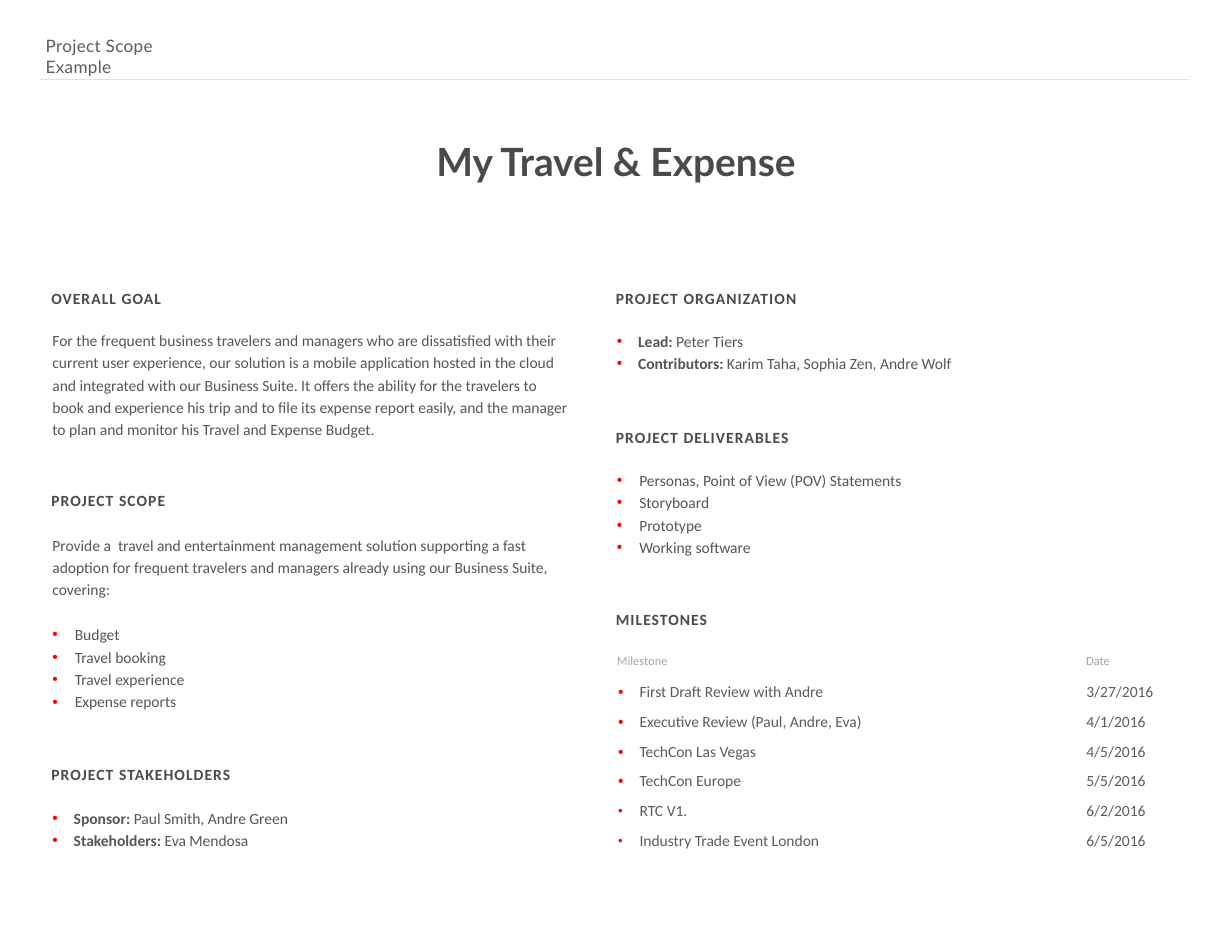
"""Build a one-page project scope slide."""
from lxml.etree import SubElement
from pptx import Presentation
from pptx.dml.color import RGBColor
from pptx.enum.text import MSO_ANCHOR, MSO_AUTO_SIZE, PP_ALIGN
from pptx.oxml.ns import qn
from pptx.util import Inches, Pt

DARK = RGBColor(0x4A, 0x4A, 0x4A)
BODY = RGBColor(0x56, 0x56, 0x56)
GREY = RGBColor(0x5C, 0x5C, 0x5C)
LIGHT = RGBColor(0xA6, 0xA6, 0xA6)
RULE = RGBColor(0xE0, 0xE0, 0xE0)
WHITE = RGBColor(0xFF, 0xFF, 0xFF)
RED = RGBColor(0xFF, 0, 0)
TABLE_RED = RGBColor(0xFB, 0, 0)

LEFT, RIGHT = 0.36, 5.4

HEADINGS = [
    ("OVERALL GOAL", LEFT, 2.5),
    ("PROJECT SCOPE", LEFT, 4.3),
    ("PROJECT STAKEHOLDERS", LEFT, 6.75),
    ("PROJECT ORGANIZATION", RIGHT, 2.5),
    ("PROJECT DELIVERABLES", RIGHT, 3.74),
    ("MILESTONES", RIGHT, 5.36),
]
GOAL = (
    "For the frequent business travelers and managers who are dissatisfied with their "
    "current user experience, our solution is a mobile application hosted in the cloud "
    "and integrated with our Business Suite. It offers the ability for the travelers to "
    "book and experience his trip and to file its expense report easily, and the manager "
    "to plan and monitor his Travel and Expense Budget."
)
SCOPE = (
    "Provide a  travel and entertainment management solution supporting a fast adoption "
    "for frequent travelers and managers already using our Business Suite, covering:"
)
SCOPE_ITEMS = ["Budget", "Travel booking", "Travel experience", "Expense reports"]
STAKEHOLDERS = [("Sponsor:", " Paul Smith, Andre Green"), ("Stakeholders:", " Eva Mendosa")]
ORGANIZATION = [
    ("Lead:", " Peter Tiers"),
    ("Contributors:", " Karim Taha, Sophia Zen, Andre Wolf"),
]
DELIVERABLES = [
    "Personas, Point of View (POV) Statements", "Storyboard", "Prototype", "Working software",
]
MILESTONES = [
    ("First Draft Review with Andre", "3/27/2016", 100),
    ("Executive Review (Paul, Andre, Eva)", "4/1/2016", 100),
    ("TechCon Las Vegas", "4/5/2016", 100),
    ("TechCon Europe", "5/5/2016", 100),
    ("RTC V1.", "6/2/2016", 85),
    ("Industry Trade Event London", "6/5/2016", 85),
]


def style_run(r, color, size=10, font="Calibri", bold=False, spacing=0):
    """Format a run; spacing is in points."""
    r.font.name, r.font.size, r.font.bold = font, Pt(size), bold
    r.font.color.rgb = color
    if spacing:
        r.font._element.set("spc", str(round(spacing * 100)))


def add_bullet(p, color, indent, size=100):
    """Give a paragraph a coloured round bullet and a hanging indent."""
    pPr = p._p.get_or_add_pPr()
    pPr.set("marL", str(Inches(indent)))
    pPr.set("indent", str(-Inches(indent)))
    SubElement(SubElement(pPr, qn("a:buClr")), qn("a:srgbClr")).set("val", str(color))
    SubElement(pPr, qn("a:buSzPct")).set("val", str(size * 1000))
    SubElement(pPr, qn("a:buFont")).set("typeface", "Arial")
    SubElement(pPr, qn("a:buChar")).set("char", "•")


def add_box(s, left, top, width, height):
    """Add an empty wrapping text box and return its text frame."""
    tf = s.shapes.add_textbox(Inches(left), Inches(top), Inches(width), Inches(height)).text_frame
    tf.word_wrap = True
    return tf


def add_text(s, text, at, color, line_spacing=1.2, **style):
    """Add a text box with one styled paragraph and return its text frame."""
    tf = add_box(s, *at)
    tf.text = text
    p = tf.paragraphs[0]
    p.line_spacing = line_spacing
    style_run(p.runs[0], color, **style)
    return tf


def add_items(tf, items, indent, gap=0):
    """Append bulleted items; a (label, rest) pair gets a bold label."""
    for i, item in enumerate(items):
        p = tf.add_paragraph() if tf.text else tf.paragraphs[0]
        p.line_spacing = 1.2
        if gap and i == 0:
            p.space_before = Pt(gap)
        add_bullet(p, RED, indent)
        label, rest = item if isinstance(item, tuple) else ("", item)
        for text, bold in ((label, True), (rest, False)):
            if text:
                r = p.add_run()
                r.text = text
                style_run(r, BODY, bold=bold)


def add_title(s, text):
    """Place and format the slide title."""
    title = s.shapes.title
    title.left, title.top, title.width, title.height = map(Inches, (0.55, 0.9, 9.9, 1.07))
    tf = title.text_frame
    tf.text = text
    tf.auto_size = MSO_AUTO_SIZE.NONE
    tf.vertical_anchor = MSO_ANCHOR.MIDDLE
    tf.paragraphs[0].alignment = PP_ALIGN.CENTER
    style_run(tf.paragraphs[0].runs[0], DARK, 25, "Lato", True)


def add_rule(s):
    """Draw the thin line below the page header."""
    y = Inches(0.71)
    line = s.shapes.add_connector(1, Inches(0.36), y, Inches(10.62), y)
    line.line.color.rgb, line.line.width = RULE, Pt(0.75)
    SubElement(line._element.spPr, qn("a:effectLst"))


def add_milestones(s):
    """Add the table of milestones and dates."""
    frame = s.shapes.add_table(
        len(MILESTONES), 2, Inches(5.48), Inches(6.06), Inches(5.16), Inches(1.68))
    table = frame.table
    table.first_row = table.horz_banding = False
    for column, width in zip(table.columns, (4.18, 0.98)):
        column.width = Inches(width)
    for i, (name, date, bullet_size) in enumerate(MILESTONES):
        table.rows[i].height = Inches(0.36 if i == len(MILESTONES) - 1 else 0.265)
        for cell, text in zip(table.rows[i].cells, (name, date)):
            cell.fill.solid()
            cell.fill.fore_color.rgb = WHITE
            cell.margin_left = cell.margin_right = Inches(0.04)
            cell.margin_top = cell.margin_bottom = Inches(0.04)
            cell.text_frame.text = text
            style_run(cell.text_frame.paragraphs[0].runs[0], GREY)
        add_bullet(table.cell(i, 0).text_frame.paragraphs[0], TABLE_RED, 0.19, bullet_size)


def main():
    """Build and save the slide."""
    prs = Presentation()
    prs.slide_width, prs.slide_height = Inches(11), Inches(8.5)
    s = prs.slides.add_slide(prs.slide_layouts[5])
    add_text(s, "Project Scope Example", (0.31, 0.27, 1.5, 0.44), GREY,
             line_spacing=1, size=11, font="Lato", spacing=0.2)
    add_rule(s)
    add_title(s, "My Travel & Expense")
    for text, left, top in HEADINGS:
        add_text(s, text, (left, top, 2.04, 0.3), DARK, bold=True, spacing=0.7)
    add_text(s, GOAL, (0.37, 2.87, 4.8, 1.11), BODY)
    scope = add_text(s, SCOPE, (0.37, 4.7, 4.8, 1.72), BODY)
    add_items(scope, SCOPE_ITEMS, 0.2, gap=14.4)
    add_items(add_box(s, 0.37, 7.14, 4.8, 0.71), STAKEHOLDERS, 0.19)
    add_items(add_box(s, 5.41, 2.88, 5.24, 0.5), ORGANIZATION, 0.19)
    add_items(add_box(s, 5.41, 4.12, 5.24, 0.91), DELIVERABLES, 0.2)
    add_text(s, "Milestone", (5.41, 5.76, 2.93, 0.26), LIGHT, size=8)
    add_text(s, "Date", (9.6, 5.76, 1.23, 0.26), LIGHT, size=8)
    add_milestones(s)
    prs.save("out.pptx")


main()
